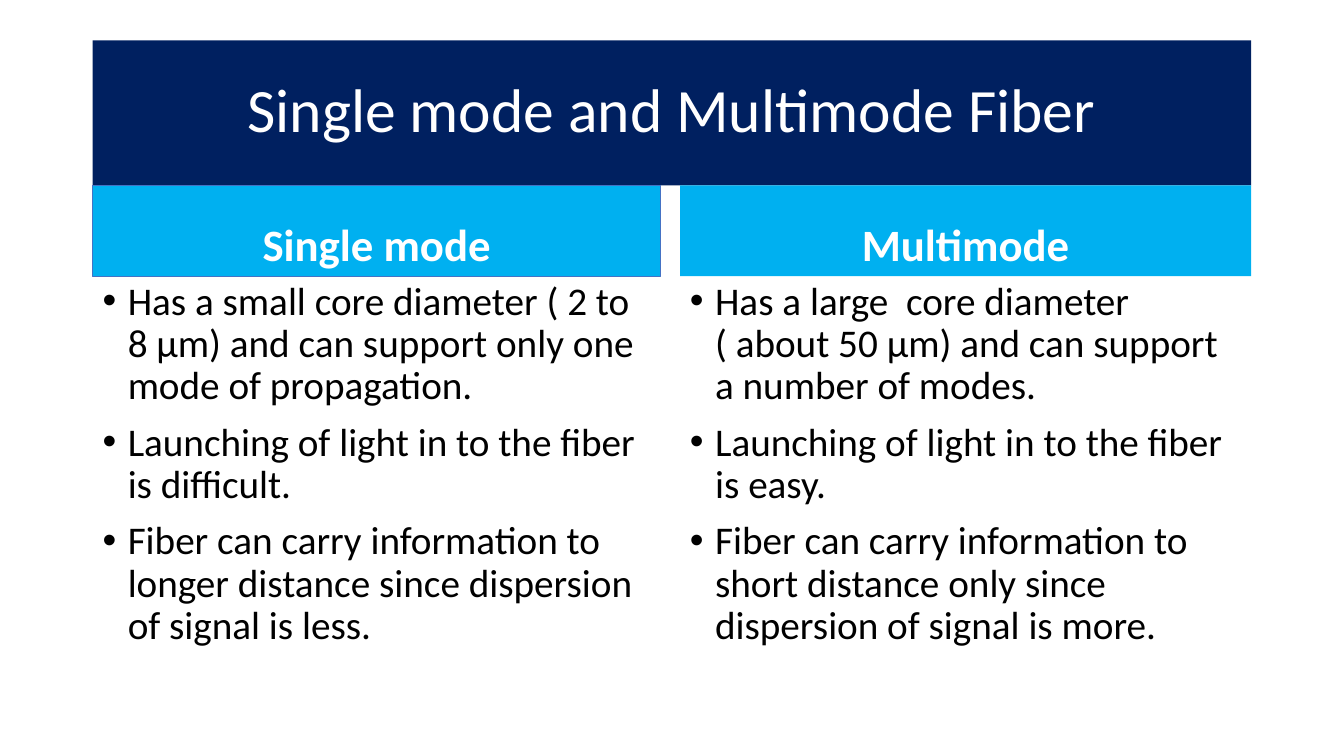
import dataclasses
import pptx
import pptx.util
import pptx.dml.color
import pptx.enum.shapes
import pptx.enum.text
import pptx.oxml
import pptx.oxml.ns

Inch = pptx.util.Inches
Align = pptx.enum.text.PP_ALIGN
Anchor = pptx.enum.text.MSO_ANCHOR


@dataclasses.dataclass(frozen=True)
class Theme:
    font: str = "Calibri"
    navy: str = "002060"
    sky: str = "00B0F0"
    edge: str = "4472C4"
    white: str = "FFFFFF"
    black: str = "000000"
    title: int = 44
    head: int = 32
    body: int = 28


@dataclasses.dataclass(frozen=True)
class Box:
    left: float
    top: float
    width: float
    height: float

    def inch(self):
        return [Inch(side) for side in dataclasses.astuple(self)]

    def split(self, size):
        upper = Box(self.left, self.top, self.width, size)
        lower = Box(self.left, self.top + size, self.width, self.height - size)
        return upper, lower


theme = Theme()
WIDTH, HEIGHT = 13.34, 7.5
FRAME = Box(0.92, 0.4, 11.5, 6.37)
TITLE, HEAD = 1.44, 0.9
LEFT, GAP = 5.64, 0.19

COLUMNS = [
    ("Single mode", theme.edge, [
        "Has a small core diameter ( 2 to 8 µm) and can support only one mode of propagation.",
        "Launching of light in to the fiber is difficult.",
        "Fiber can carry information to longer distance since dispersion of signal is less.",
    ]),
    ("Multimode", None, [
        "Has a large  core diameter ( about 50 µm) and can support a number of modes.",
        "Launching of light in to the fiber is easy.",
        "Fiber can carry information to short distance only since dispersion of signal is more.",
    ]),
]


def tint(code):
    return pptx.dml.color.RGBColor.from_string(code)


def style(para, size, color, bold=False, space=0):
    para.line_spacing = 0.9
    para.space_before = pptx.util.Pt(space)
    para.font.name = theme.font
    para.font.size = pptx.util.Pt(size)
    para.font.bold = bold
    para.font.color.rgb = tint(color)


def banner(slide, box, text, fill, size, anchor, edge=None, bold=False, space=0):
    shape = slide.shapes.add_shape(pptx.enum.shapes.MSO_SHAPE.RECTANGLE, *box.inch())
    shape.shadow.inherit = False
    shape.fill.solid()
    shape.fill.fore_color.rgb = tint(fill)
    if edge:
        shape.line.color.rgb = tint(edge)
        shape.line.width = pptx.util.Pt(0.75)
    else:
        shape.line.fill.background()
    frame = shape.text_frame
    frame.word_wrap = True
    frame.vertical_anchor = anchor
    para = frame.paragraphs[0]
    para.text = text
    para.alignment = Align.CENTER
    style(para, size, theme.white, bold, space)


def bullet(para):
    props = para._p.get_or_add_pPr()
    props.set("marL", str(Inch(0.25)))
    props.set("indent", str(-Inch(0.25)))
    space = pptx.oxml.ns.nsdecls("a")
    for tag in ('buFont {} typeface="Arial"', 'buChar {} char="•"'):
        props.append(pptx.oxml.parse_xml(f"<a:{tag.format(space)}/>"))


def points(slide, box, lines):
    frame = slide.shapes.add_textbox(*box.inch()).text_frame
    frame.word_wrap = True
    for index, line in enumerate(lines):
        para = frame.add_paragraph() if index else frame.paragraphs[0]
        para.text = line
        para.alignment = Align.LEFT
        style(para, theme.body, theme.black, space=10)
        bullet(para)


def column(slide, box, head, edge, lines):
    top, rest = box.split(HEAD)
    banner(slide, top, head, theme.sky, theme.head, Anchor.BOTTOM, edge, True, 10)
    points(slide, rest, lines)


def compare(slide, box):
    top, rest = box.split(TITLE)
    banner(slide, top, "Single mode and Multimode Fiber", theme.navy,
           theme.title, Anchor.MIDDLE)
    start = LEFT + GAP
    halves = [
        Box(rest.left, rest.top, LEFT, rest.height),
        Box(rest.left + start, rest.top, rest.width - start, rest.height),
    ]
    for half, content in zip(halves, COLUMNS):
        column(slide, half, *content)


def main():
    deck = pptx.Presentation()
    deck.slide_width, deck.slide_height = Inch(WIDTH), Inch(HEIGHT)
    slide = deck.slides.add_slide(deck.slide_layouts[6])
    compare(slide, FRAME)
    deck.save("out.pptx")


if __name__ == "__main__":
    main()
